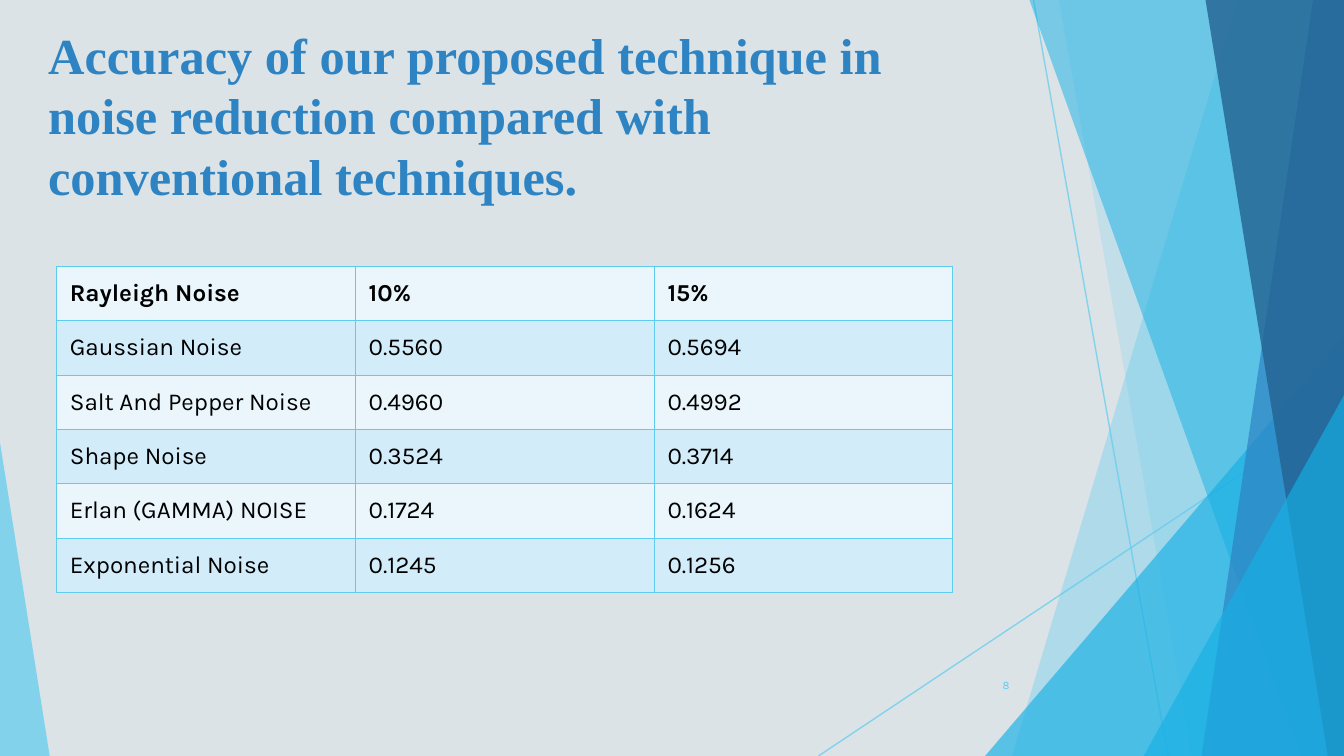
from pptx import Presentation
from pptx.dml.color import RGBColor as RGB
from pptx.enum.shapes import MSO_CONNECTOR as CONN, MSO_SHAPE as SHAPE
from pptx.enum.text import MSO_ANCHOR as ANCHOR, PP_ALIGN as ALIGN
from pptx.oxml import parse_xml
from pptx.oxml.ns import nsdecls
from pptx.util import Inches, Pt

C = {"bg": "DBE3E7", "sky": "5FCBEF", "cyan": "17B0E4", "blue": "2E83C3",
     "navy": "236292", "text": "000000", "light": "EAF6FC", "band": "D2ECF9"}
W = 10
H = W * 9 / 16


def set_alpha(sp, percent):
    """Make the only RGB colour of a shape or line see-through."""
    clr = sp.element.xpath(".//a:srgbClr")[0]
    clr.append(parse_xml(f'<a:alpha {nsdecls("a")} val="{percent * 1000}"/>'))


def write(tf, text, color, fmt, align=ALIGN.LEFT):
    p = tf.paragraphs[0]
    p.alignment = align
    r = p.add_run()
    r.text = text
    for key, value in fmt.items():
        setattr(r.font, key, value)
    r.font.color.rgb = RGB.from_string(C[color])


prs = Presentation()
prs.slide_width, prs.slide_height = Inches(W), Inches(H)
s = prs.slides.add_slide(prs.slide_layouts[6])
s.background.fill.solid()
s.background.fill.fore_color.rgb = RGB.from_string(C["bg"])

# Thin crossing lines
for x1, y1, x2, y2 in [(7.69, 0, 8.69, H), (W, 3.02, 6.09, H)]:
    line = s.shapes.add_connector(CONN.STRAIGHT, Inches(x1), Inches(y1), Inches(x2), Inches(y2))
    line.line.width = Pt(0.75)
    line.line.color.rgb = RGB.from_string(C["sky"])
    set_alpha(line, 70)
    line.element.spPr.append(parse_xml(f'<a:effectLst {nsdecls("a")}/>'))

# Facets, back to front: a band has its top and bottom left x,
# a triangle has its left, top and width, and the place of its tip
facets = [
    ("band", (9.21, 7.53), "sky", 36),
    ("band", (7.88, 8.87), "sky", 20),
    ("triangle", (7.33, 2.5, 2.67, 1), "cyan", 66),
    ("band", (7.66, 9.68), "cyan", 50),
    ("band", (9.77, 8.94), "blue", 70),
    ("band", (8.97, 9.88), "navy", 80),
    ("triangle", (8.51, 2.94, 1.49, 1), "cyan", 66),
    ("triangle", (0, 3.29, 0.37, 0), "sky", 70),
]
for kind, dims, color, percent in facets:
    if kind == "band":
        top, bottom = dims
        fb = s.shapes.build_freeform(Inches(top), 0)
        fb.add_line_segments([(Inches(x), Inches(y)) for x, y in
                              [(W, 0), (W, H), (bottom, H)]], close=True)
        sp = fb.convert_to_shape()
    else:
        x, y, w, tip = dims
        sp = s.shapes.add_shape(SHAPE.ISOSCELES_TRIANGLE, Inches(x), Inches(y),
                                Inches(w), Inches(H - y))
        sp.adjustments[0] = tip
    sp.shadow.inherit = False
    sp.fill.solid()
    sp.fill.fore_color.rgb = RGB.from_string(C[color])
    sp.line.fill.background()
    set_alpha(sp, percent)

# Title
tf = s.shapes.add_textbox(Inches(0.26), Inches(0.13), Inches(7.05), Inches(1.34)).text_frame
tf.word_wrap = True
write(tf, "Accuracy of our proposed technique in noise reduction compared with "
      "conventional techniques.", "blue",
      {"size": Pt(27), "name": "Times New Roman", "bold": True})

# Slide number
tf = s.shapes.add_textbox(Inches(7.05), Inches(4.95), Inches(0.56), Inches(0.3)).text_frame
tf.word_wrap = True
tf.vertical_anchor = ANCHOR.MIDDLE
write(tf, "8", "sky", {"size": Pt(6), "name": "Karla"}, ALIGN.RIGHT)

# Accuracy table
rows = [
    ("Rayleigh Noise", "10%", "15%"),
    ("Gaussian Noise", "0.5560", "0.5694"),
    ("Salt And Pepper Noise", "0.4960", "0.4992"),
    ("Shape Noise", "0.3524", "0.3714"),
    ("Erlan (GAMMA) NOISE", "0.1724", "0.1624"),
    ("Exponential Noise", "0.1245", "0.1256"),
]
table = s.shapes.add_table(len(rows), 3, Inches(0.42), Inches(1.98),
                           Inches(6.67), Inches(2.43)).table
for i, row in enumerate(rows):
    for j, text in enumerate(row):
        cell = table.cell(i, j)
        cell.vertical_anchor = ANCHOR.MIDDLE
        cell.fill.solid()
        cell.fill.fore_color.rgb = RGB.from_string(C["band" if i % 2 else "light"])
        write(cell.text_frame, text, "text",
              {"size": Pt(13), "name": "Karla", "bold": i == 0})
        # Borders come before the fill
        tcPr = cell._tc.get_or_add_tcPr()
        for k, side in enumerate(("lnL", "lnR", "lnT", "lnB")):
            tcPr.insert(k, parse_xml(
                f'<a:{side} {nsdecls("a")} w="{Pt(0.45)}"><a:solidFill>'
                f'<a:srgbClr val="{C["sky"]}"/></a:solidFill></a:{side}>'))

prs.save("out.pptx")
